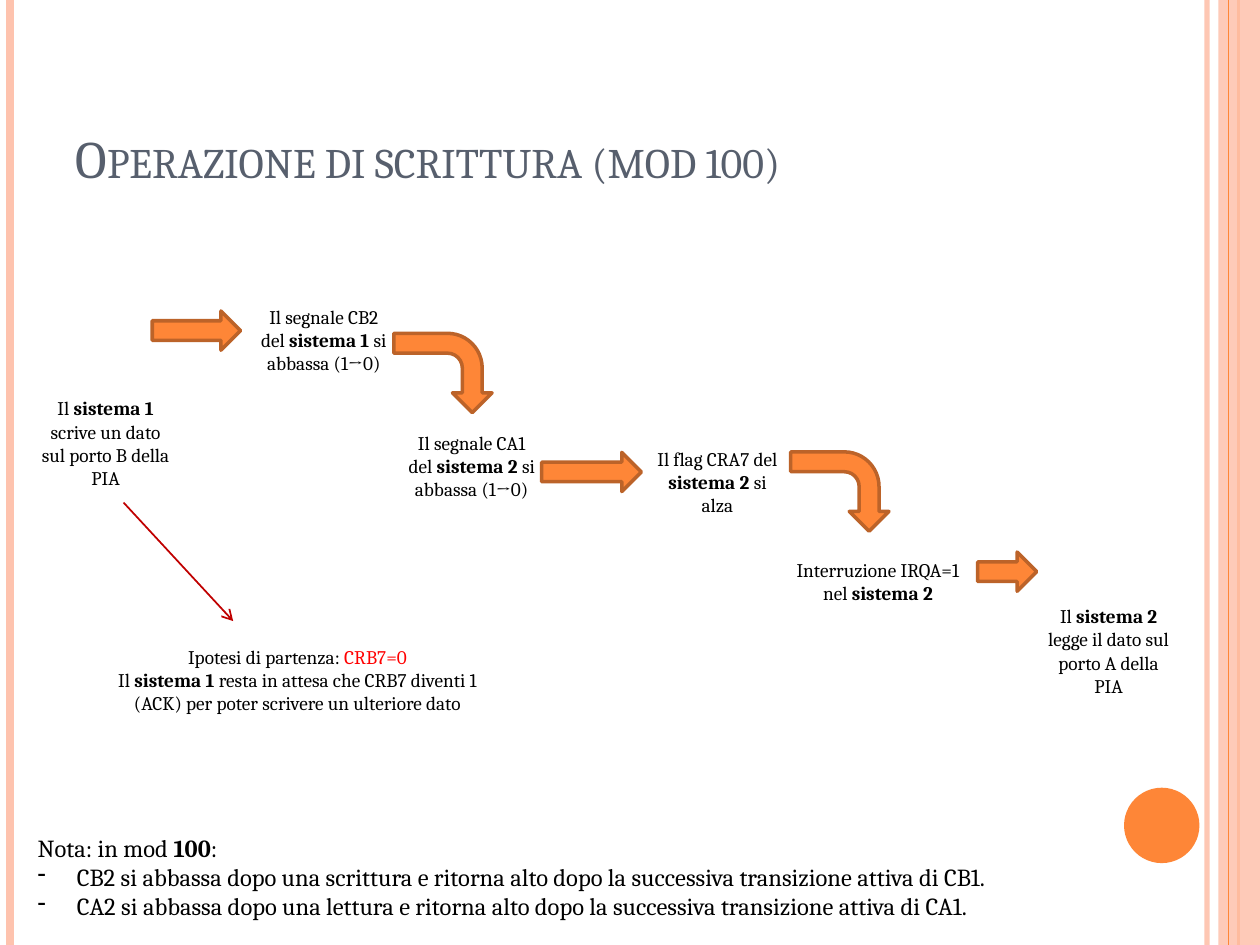
from lxml import etree
from pptx import Presentation
from pptx.dml.color import RGBColor
from pptx.enum import shapes, text
from pptx.oxml.ns import qn
from pptx.util import Cm, Pt

THEME = {
    "font": "Cambria",
    "title_size": 30, "step_size": 11, "note_size": 14,
    "title": "575F6D", "ink": "000000", "alert": "FF0000", "paper": "FFFFFF",
    "accent": "FE8637", "accent_edge": "BC6329", "pale": "FEC3AE", "wait": "C00000",
}
SLIDE_W, SLIDE_H = 25.4, 19.05

TITLE = "Operazione di scrittura (mod 100)"
TITLE_AREA = (1.27, 0.76, 20.75, 3.18)

# Runs are split on "*" for bold and on "~" for the alert colour.
STEPS = [
    ((0.58, 8.13, 3.1, 1.6), ["Il *sistema 1 *scrive un dato sul porto B della PIA"]),
    ((12.93, 8.33, 3.07, 2.77), ["Il flag CRA7 del *sistema 2 *si alza"]),
    ((15.72, 10.92, 3.96, 1.6), ["Interruzione IRQA=1 nel *sistema 2*"]),
    ((4.93, 5.46, 3.2, 2.77), ["Il segnale CB2 del *sistema 1* si abbassa (1→0)"]),
    ((7.92, 8.33, 3.18, 2.11), ["Il segnale CA1 del *sistema 2* si abbassa (1→0)"]),
    ((20.8, 12.32, 3.1, 1.6), ["Il *sistema 2 *legge il dato sul porto A della PIA"]),
]
HYPOTHESIS = ((1.9, 12.73, 8.2, 2.39), [
    "Ipotesi di partenza: ~CRB7=0~",
    "Il *sistema 1* resta in attesa che CRB7 diventi 1 (ACK) per poter scrivere un ulteriore dato",
])
HYPOTHESIS_BOTTOM_INSET = 0.58

STRAIGHT_ARROWS = [(3.07, 6.27, 1.78), (10.92, 9.12, 2.01), (19.71, 11.13, 1.19)]
STRAIGHT_HEIGHT = 0.79
BENT_ARROWS = [(8.13, 6.53), (16.13, 8.92)]
BENT_SIZE = (1.6, 1.98)
WAIT_ARROW = (2.49, 10.13, 4.7, 12.52)

NOTE_AREA = (0.51, 16.66, 22.61, 2.06)
NOTE_HEAD = "Nota: in mod *100*:"
NOTE_ITEMS = [
    "CB2 si abbassa dopo una scrittura e ritorna alto dopo la successiva transizione attiva di CB1.",
    "CA2 si abbassa dopo una lettura e ritorna alto dopo la successiva transizione attiva di CA1.",
]
NOTE_INDENT = 0.79

STRIPES_BEHIND = [(24.33, "pale", 3, 93), (0.2, "pale", 4.5, 100), (24.97, "accent", 1.5, 100)]
STRIPE_FRONT = (24.77, "accent", 0.75, 100)
SIDE_BAND = (24.56, 0, 0.84, SLIDE_H)
DISC = (22.66, 15.88, 1.52, 1.52)


def color(name):
    return RGBColor.from_string(THEME[name])


def set_alpha(part, percent):
    for tint in part.element.spPr.iter(qn("a:srgbClr")):
        etree.SubElement(tint, qn("a:alpha")).set("val", str(percent * 1000))


def add_line(slide, ends, tint, width):
    line = slide.shapes.add_connector(shapes.MSO_CONNECTOR.STRAIGHT, *map(Cm, ends))
    line.line.color.rgb = color(tint)
    line.line.width = Pt(width)
    etree.SubElement(line.element.spPr, qn("a:effectLst"))
    return line


def add_stripe(slide, x, tint, width, opacity):
    stripe = add_line(slide, (x, 0, x, SLIDE_H), tint, width)
    if opacity < 100:
        set_alpha(stripe, opacity)


def add_block(slide, preset, area, fill, edge=None):
    block = slide.shapes.add_shape(preset, *map(Cm, area))
    block.shadow.inherit = False
    block.fill.solid()
    block.fill.fore_color.rgb = color(fill)
    if edge:
        block.line.color.rgb = color(edge)
        block.line.width = Pt(2)
    else:
        block.line.fill.background()
    return block


def write(paragraph, marked, size):
    for i, strong in enumerate(marked.split("*")):
        for j, piece in enumerate(strong.split("~")):
            if piece:
                run = paragraph.add_run()
                run.text = piece
                run.font.name = THEME["font"]
                run.font.size = Pt(size)
                run.font.bold = i % 2 == 1
                run.font.color.rgb = color("alert" if j % 2 else "ink")


def paragraphs(frame, count):
    return [frame.paragraphs[0]] + [frame.add_paragraph() for _ in range(count - 1)]


def add_step(slide, area, lines):
    frame = add_block(slide, shapes.MSO_SHAPE.RECTANGLE, area, "paper").text_frame
    frame.word_wrap = True
    frame.vertical_anchor = text.MSO_ANCHOR.MIDDLE
    for paragraph, line in zip(paragraphs(frame, len(lines)), lines):
        paragraph.alignment = text.PP_ALIGN.CENTER
        write(paragraph, line, THEME["step_size"])
    return frame


def add_title(slide):
    title = slide.shapes.title
    title.left, title.top, title.width, title.height = map(Cm, TITLE_AREA)
    frame = title.text_frame
    frame.text = TITLE
    frame.word_wrap = True
    frame.vertical_anchor = text.MSO_ANCHOR.BOTTOM
    frame.paragraphs[0].alignment = text.PP_ALIGN.LEFT
    font = frame.paragraphs[0].runs[0].font
    font.name, font.size = THEME["font"], Pt(THEME["title_size"])
    font.color.rgb = color("title")
    frame.paragraphs[0].runs[0].font._element.set("cap", "small")


def add_note(slide):
    frame = slide.shapes.add_textbox(*map(Cm, NOTE_AREA)).text_frame
    frame.word_wrap = True
    head, *items = paragraphs(frame, 1 + len(NOTE_ITEMS))
    write(head, NOTE_HEAD, THEME["note_size"])
    for paragraph, item in zip(items, NOTE_ITEMS):
        properties = paragraph._p.get_or_add_pPr()
        properties.set("marL", str(Cm(NOTE_INDENT)))
        properties.set("indent", str(-Cm(NOTE_INDENT)))
        etree.SubElement(properties, qn("a:buChar")).set("char", "-")
        write(paragraph, item, THEME["note_size"])


def main():
    deck = Presentation()
    deck.slide_width, deck.slide_height = Cm(SLIDE_W), Cm(SLIDE_H)
    slide = deck.slides.add_slide(deck.slide_layouts[5])

    for stripe in STRIPES_BEHIND:
        add_stripe(slide, *stripe)
    set_alpha(add_block(slide, shapes.MSO_SHAPE.RECTANGLE, SIDE_BAND, "pale"), 87)
    add_stripe(slide, *STRIPE_FRONT)
    add_block(slide, shapes.MSO_SHAPE.OVAL, DISC, "accent")

    add_title(slide)
    for step in STEPS:
        add_step(slide, *step)
    add_step(slide, *HYPOTHESIS).margin_bottom = Cm(HYPOTHESIS_BOTTOM_INSET)

    for left, top, width in STRAIGHT_ARROWS:
        add_block(slide, shapes.MSO_SHAPE.RIGHT_ARROW, (left, top, width, STRAIGHT_HEIGHT),
                  "accent", "accent_edge")
    for corner in BENT_ARROWS:
        add_block(slide, shapes.MSO_SHAPE.BENT_ARROW, corner + BENT_SIZE,
                  "accent", "accent_edge").rotation = 90
    wait = add_line(slide, WAIT_ARROW, "wait", 1)
    etree.SubElement(wait.line._get_or_add_ln(), qn("a:tailEnd")).set("type", "arrow")

    add_note(slide)
    deck.save("out.pptx")


if __name__ == "__main__":
    main()
